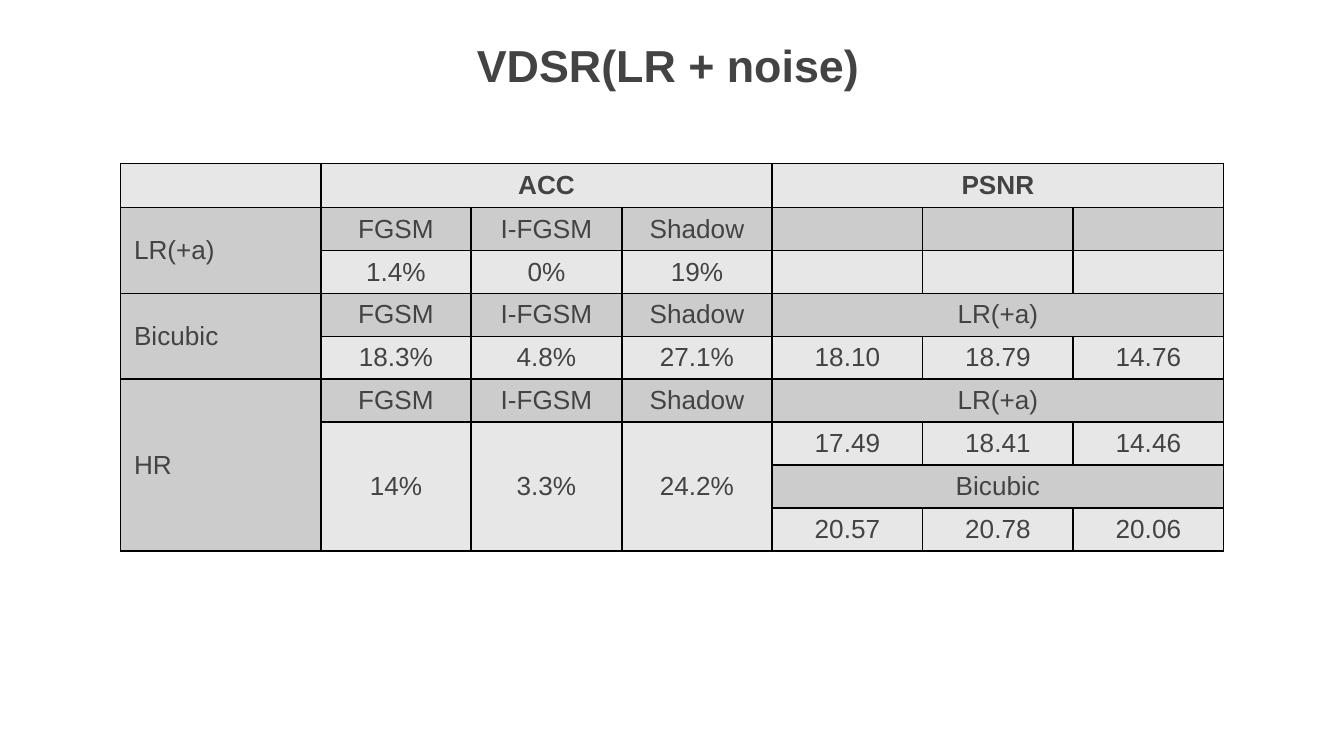
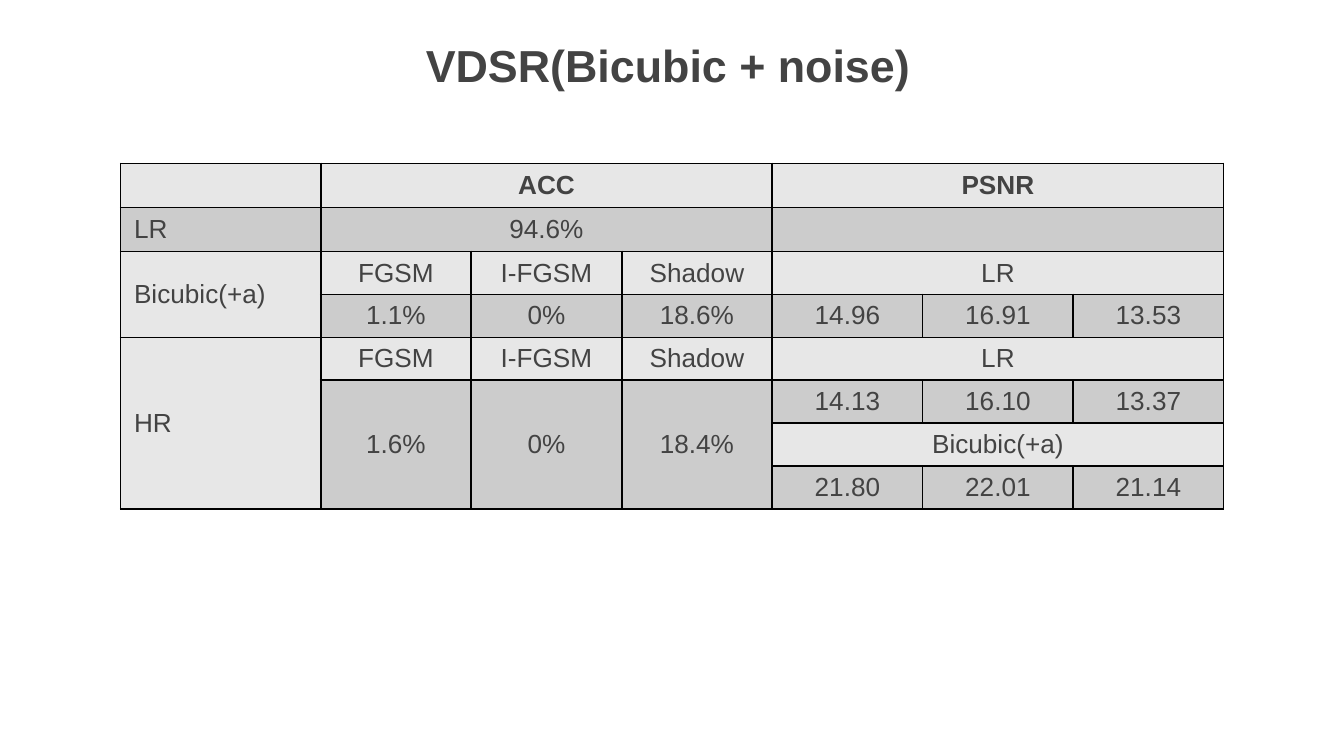
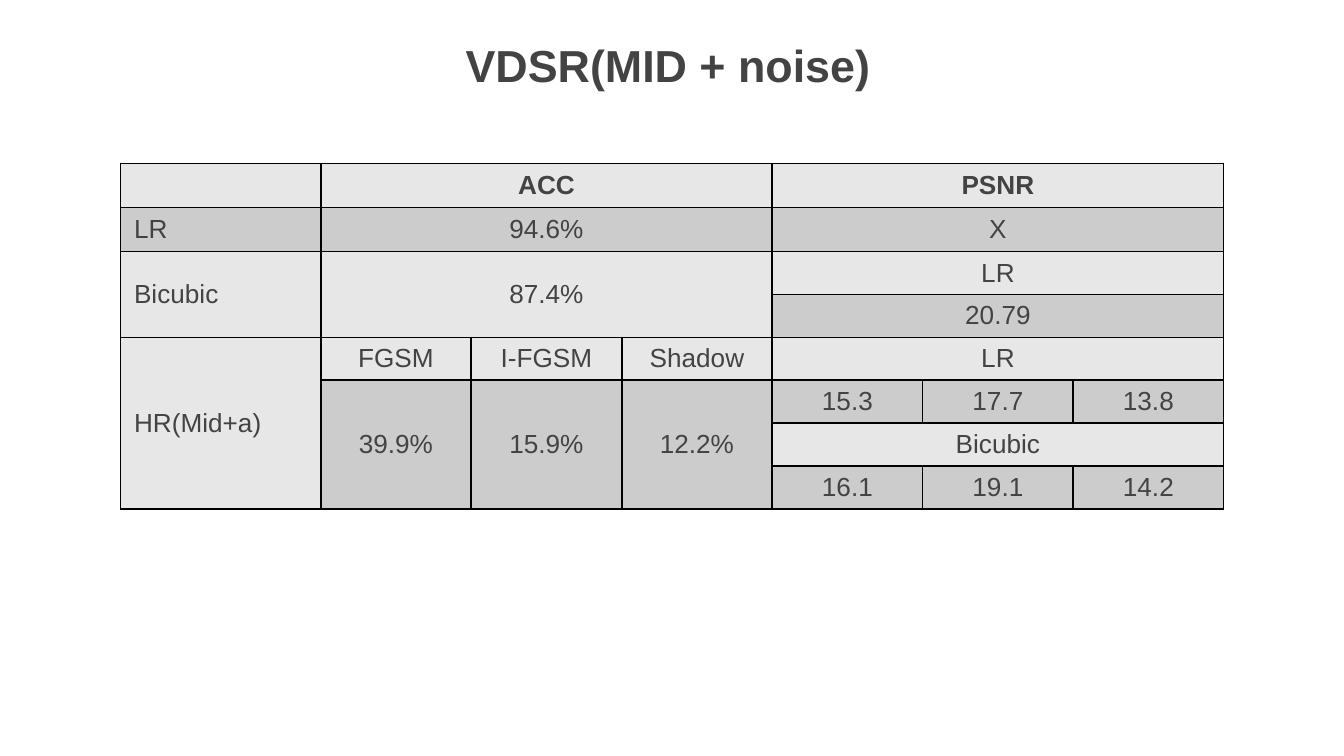
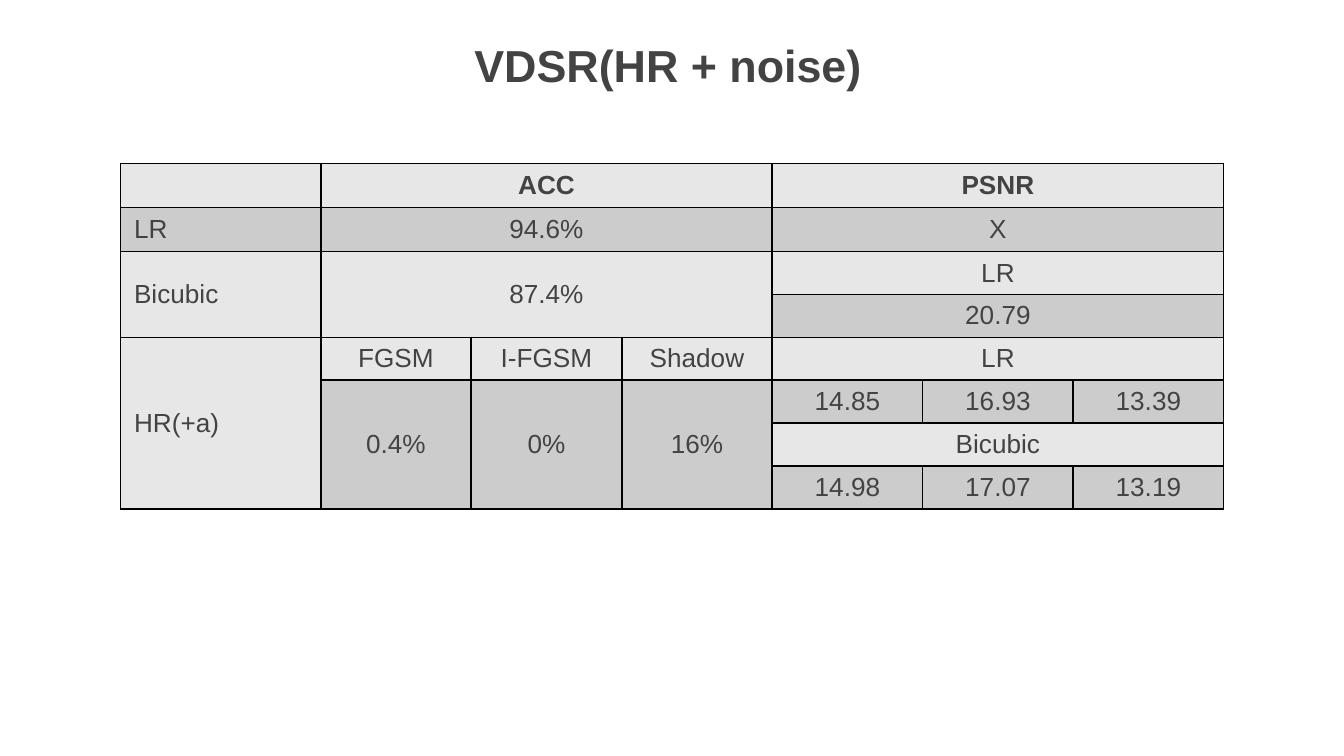
from pptx import Presentation
from pptx.dml.color import RGBColor
from pptx.enum.text import MSO_ANCHOR, PP_ALIGN
from pptx.oxml import parse_xml
from pptx.oxml.ns import nsdecls
from pptx.util import Pt

CENTER, JUSTIFY = PP_ALIGN.CENTER, PP_ALIGN.JUSTIFY
TOP, MIDDLE = MSO_ANCHOR.TOP, MSO_ANCHOR.MIDDLE
TITLE_ONLY = 5

FONT = "Arial"
INK, LIGHT, DARK, BORDER = "434343", "E7E7E7", "CCCCCC", "000000"
TITLE_SIZE, CELL_SIZE = 24, 14
LABEL_WIDTH, VALUE_WIDTH = 107.25, 80.64
ROW_HEIGHT, SINGLE_ROW_HEIGHT = 23, 23.6

LEFT, UP = "<", "^"  # the cell continues the one to its left or above it
ATTACKS = ["FGSM", "I-FGSM", "Shadow"]


def rgb(color):
    return RGBColor.from_string(color)


def wide(text):
    """Three columns joined into one cell."""
    return [text, LEFT, LEFT]


def group(label, acc, *psnr):
    """Rows for one label: accuracy per attack, then (reference, values) pairs of PSNR."""
    rows = []
    for i, (reference, values) in enumerate(psnr):
        rows.append([UP] * 4 + wide(reference))
        rows.append([UP] * 4 + values)
        if i == 0:
            rows[0][:4] = [label] + ATTACKS
            rows[1][1:4] = acc
    return rows


HEADER = ["", *wide("ACC"), *wide("PSNR")]
BICUBIC_CLEAN = [
    ["LR", *wide("94.6%"), *wide("X")],
    ["Bicubic", *wide("87.4%"), *wide("LR")],
    [UP] * 4 + wide("20.79"),
]

RESULTS = {
    "VDSR(LR + noise)": [
        ["LR(+a)", *ATTACKS, "", "", ""],
        [UP, "1.4%", "0%", "19%", "", "", ""],
        *group("Bicubic", ["18.3%", "4.8%", "27.1%"],
               ("LR(+a)", ["18.10", "18.79", "14.76"])),
        *group("HR", ["14%", "3.3%", "24.2%"],
               ("LR(+a)", ["17.49", "18.41", "14.46"]),
               ("Bicubic", ["20.57", "20.78", "20.06"])),
    ],
    "VDSR(Bicubic + noise)": [
        ["LR", *wide("94.6%"), *wide("")],
        *group("Bicubic(+a)", ["1.1%", "0%", "18.6%"],
               ("LR", ["14.96", "16.91", "13.53"])),
        *group("HR", ["1.6%", "0%", "18.4%"],
               ("LR", ["14.13", "16.10", "13.37"]),
               ("Bicubic(+a)", ["21.80", "22.01", "21.14"])),
    ],
    "VDSR(MID + noise)": [
        *BICUBIC_CLEAN,
        *group("HR(Mid+a)", ["39.9%", "15.9%", "12.2%"],
               ("LR", ["15.3", "17.7", "13.8"]),
               ("Bicubic", ["16.1", "19.1", "14.2"])),
    ],
    "VDSR(HR + noise)": [
        *BICUBIC_CLEAN,
        *group("HR(+a)", ["0.4%", "0%", "16%"],
               ("LR", ["14.85", "16.93", "13.39"]),
               ("Bicubic", ["14.98", "17.07", "13.19"])),
    ],
}


def format_text(p, size, bold, align):
    p.alignment = align
    for r in p.runs:
        r.font.name, r.font.size, r.font.bold = FONT, Pt(size), bold
        r.font.color.rgb = rgb(INK)


def add_title(s, text):
    title = s.shapes.title
    title.left, title.top, title.width, title.height = Pt(18.7), Pt(13), Pt(678.2), Pt(74.2)
    tf = title.text_frame
    tf.margin_left = tf.margin_right = tf.margin_top = tf.margin_bottom = Pt(7.2)
    tf.vertical_anchor = TOP
    tf.text = text
    format_text(tf.paragraphs[0], TITLE_SIZE, True, CENTER)


def set_borders(cell):
    tc_pr = cell._tc.get_or_add_tcPr()
    for i, side in enumerate(("lnL", "lnR", "lnT", "lnB")):
        tc_pr.insert(i, parse_xml(
            f'<a:{side} {nsdecls("a")} w="{Pt(1)}"><a:solidFill>'
            f'<a:srgbClr val="{BORDER}"/></a:solidFill></a:{side}>'))


def format_cell(cell, text, fill, bold, align):
    cell.fill.solid()
    cell.fill.fore_color.rgb = rgb(fill)
    cell.margin_left = cell.margin_right = Pt(7.2)
    cell.margin_top = cell.margin_bottom = Pt(3)
    cell.vertical_anchor = MIDDLE
    set_borders(cell)
    p = cell.text_frame.paragraphs[0]
    if text:
        p.text = text
        format_text(p, CELL_SIZE, bold, align)
    else:
        # An empty cell would otherwise grow its row to the default text size.
        p._p.append(parse_xml(f'<a:endParaRPr {nsdecls("a")} sz="{CELL_SIZE * 100}"/>'))


def span_end(cells, start, marker):
    """Index of the last cell that continues the one at start."""
    end = start
    while end + 1 < len(cells) and cells[end + 1] == marker:
        end += 1
    return end


def add_results_table(s, grid):
    frame = s.shapes.add_table(len(grid), len(HEADER), Pt(64.6), Pt(87.6),
                               Pt(LABEL_WIDTH + 6 * VALUE_WIDTH),
                               Pt(ROW_HEIGHT * len(grid)))
    table = frame.table
    table.first_row = table.horz_banding = False
    for c, column in enumerate(table.columns):
        column.width = Pt(VALUE_WIDTH if c else LABEL_WIDTH)
    labels = [row[0] for row in grid]
    for r, row in enumerate(grid):
        single = labels[r] != UP and span_end(labels, r, UP) == r
        table.rows[r].height = Pt(SINGLE_ROW_HEIGHT if single else ROW_HEIGHT)
        for c, text in enumerate(row):
            shown = "" if text in (LEFT, UP) else text
            format_cell(table.cell(r, c), shown, DARK if r % 2 else LIGHT,
                        r == 0, CENTER if c else JUSTIFY)
    for r, row in enumerate(grid):
        for c, text in enumerate(row):
            if text in (LEFT, UP):
                continue
            bottom = span_end([line[c] for line in grid], r, UP)
            right = span_end(row, c, LEFT)
            if (bottom, right) != (r, c):
                table.cell(r, c).merge(table.cell(bottom, right))


def main():
    prs = Presentation()
    prs.slide_width, prs.slide_height = Pt(720), Pt(405)
    for title, rows in RESULTS.items():
        s = prs.slides.add_slide(prs.slide_layouts[TITLE_ONLY])
        add_title(s, title)
        add_results_table(s, [HEADER] + rows)
    prs.save("out.pptx")


if __name__ == "__main__":
    main()
